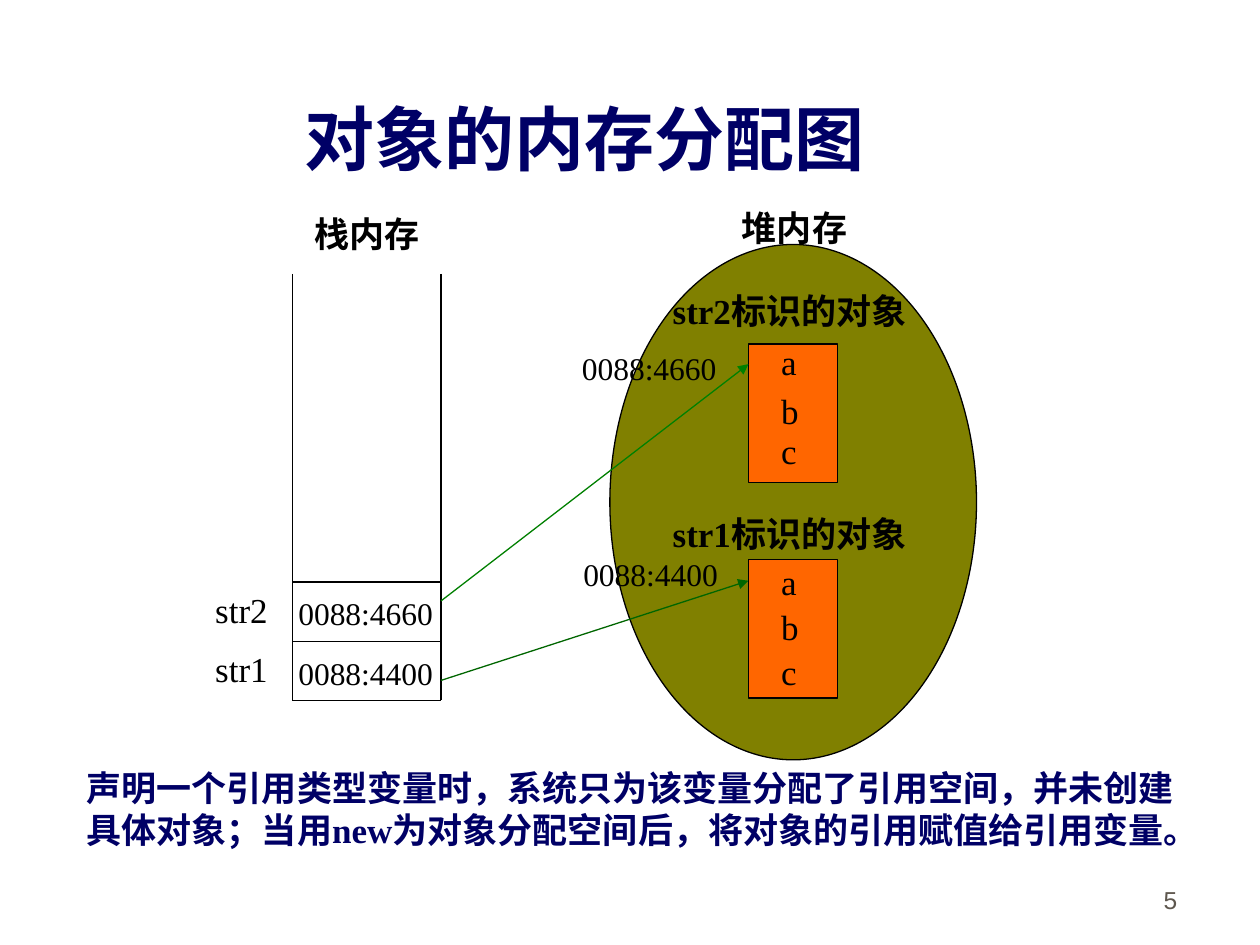
"""Draw how references on the stack point to objects on the heap."""
from dataclasses import dataclass

from lxml import etree
from pptx import Presentation
from pptx.dml.color import RGBColor
from pptx.enum.shapes import MSO_CONNECTOR, MSO_SHAPE
from pptx.enum.text import MSO_ANCHOR, PP_ALIGN
from pptx.oxml.ns import qn
from pptx.util import Pt

STRAIGHT = MSO_CONNECTOR.STRAIGHT
RECT, OVAL = MSO_SHAPE.RECTANGLE, MSO_SHAPE.OVAL
TOP, BOTTOM = MSO_ANCHOR.TOP, MSO_ANCHOR.BOTTOM
LEFT, RIGHT = PP_ALIGN.LEFT, PP_ALIGN.RIGHT
BLACK, NAVY, OLIVE, ORANGE = "000000", "000066", "808000", "FF6600"

STACK_LEFT, STACK_RIGHT, STACK_TOP = 167, 252, 156.5
ROW_TOP, ROW_H = 332.6, 33.85
OBJ_LEFT, OBJ_W, OBJ_H = 427.7, 51.1, 79.2


@dataclass
class Reference:
    name: str
    address: str
    obj_top: float
    heading_top: float
    address_left: float
    address_top: float
    field_tops: tuple[float, ...]
    arrow_from: float
    arrow_to: float
    arrow_color: str


REFERENCES = [
    Reference("str2", "0088:4660", 196.6, 162, 325.4, 195.8,
              (190.8, 218.9, 241.9), 343.4, 208.1, "008000"),
    Reference("str1", "0088:4400", 319.7, 289.4, 326.2, 313.9,
              (316.8, 342.7, 367.9), 388.8, 331.9, "006600"),
]


def rgb(color: str) -> RGBColor:
    return RGBColor.from_string(color)


def add_text(s, text: str, x: float, y: float, w: float, h: float = 31.7, *,
             size: float = 20, color: str = BLACK, bold: bool = False,
             font: str = "Times New Roman", align=LEFT, anchor=TOP,
             wrap: bool = True) -> None:
    tf = s.shapes.add_textbox(Pt(x), Pt(y), Pt(w), Pt(h)).text_frame
    tf.word_wrap = wrap
    tf.vertical_anchor = anchor
    p = tf.paragraphs[0]
    p.alignment = align
    r = p.add_run()
    r.text = text
    r.font.name, r.font.size, r.font.bold = font, Pt(size), bold
    r.font.color.rgb = rgb(color)


def add_line(s, x1: float, y1: float, x2: float, y2: float,
             color: str = BLACK, arrow: bool = False) -> None:
    c = s.shapes.add_connector(STRAIGHT, Pt(x1), Pt(y1), Pt(x2), Pt(y2))
    c.line.color.rgb = rgb(color)
    c.line.width = Pt(0.75)
    if arrow:
        etree.SubElement(c.line._get_or_add_ln(), qn("a:tailEnd"), type="triangle")
    etree.SubElement(c._element.spPr, qn("a:effectLst"))


def add_block(s, kind, x: float, y: float, w: float, h: float, fill: str) -> None:
    sp = s.shapes.add_shape(kind, Pt(x), Pt(y), Pt(w), Pt(h))
    sp.shadow.inherit = False
    sp.fill.solid()
    sp.fill.fore_color.rgb = rgb(fill)
    sp.line.color.rgb = rgb(BLACK)
    sp.line.width = Pt(0.75)


def add_stack(s) -> None:
    bottom = ROW_TOP + len(REFERENCES) * ROW_H
    for x in (STACK_LEFT, STACK_RIGHT):
        add_line(s, x, STACK_TOP, x, bottom)
    for i in range(len(REFERENCES) + 1):
        y = ROW_TOP + i * ROW_H
        add_line(s, STACK_LEFT, y, STACK_RIGHT, y)


def add_reference(s, ref: Reference, row_top: float) -> None:
    add_block(s, RECT, OBJ_LEFT, ref.obj_top, OBJ_W, OBJ_H, ORANGE)
    for field, y in zip("abc", ref.field_tops):
        add_text(s, field, 439.2, y, 28.1)
    add_text(s, ref.name, 115.9, row_top, 45.4)
    add_text(s, ref.address, 163.4, row_top + 3.6, 108, 28.8, size=18)
    add_text(s, ref.address, ref.address_left, ref.address_top, 110, 28.8, size=18)
    add_line(s, STACK_RIGHT, ref.arrow_from, OBJ_LEFT, ref.arrow_to,
             ref.arrow_color, arrow=True)
    add_text(s, f"{ref.name}标识的对象", 377.3, ref.heading_top, 157, bold=True)


def main() -> None:
    prs = Presentation()
    prs.slide_width, prs.slide_height = Pt(720), Pt(540)
    s = prs.slides.add_slide(prs.slide_layouts[6])
    add_text(s, "对象的内存分配图", 167, 51.1, 338.4, 55.4,
             size=40, color=NAVY, bold=True, wrap=False)
    add_text(s, "栈内存", 172.8, 118.1, 91.4, bold=True)
    add_block(s, OVAL, 348.5, 139.7, 209.5, 294.5, OLIVE)
    add_text(s, "堆内存", 416.9, 114.5, 95, bold=True)
    add_stack(s)
    for i, ref in enumerate(REFERENCES):
        add_reference(s, ref, ROW_TOP + i * ROW_H)
    add_text(s, "声明一个引用类型变量时，系统只为该变量分配了引用空间，并未创建具体对象；"
             "当用new为对象分配空间后，将对象的引用赋值给引用变量。",
             42.5, 434.2, 638.6, 55.4, color=NAVY, bold=True)
    add_text(s, "5", 529.9, 490.3, 149.8, 36, size=14, color="5E574E",
             font="Arial", align=RIGHT, anchor=BOTTOM)
    prs.save("out.pptx")


if __name__ == "__main__":
    main()
